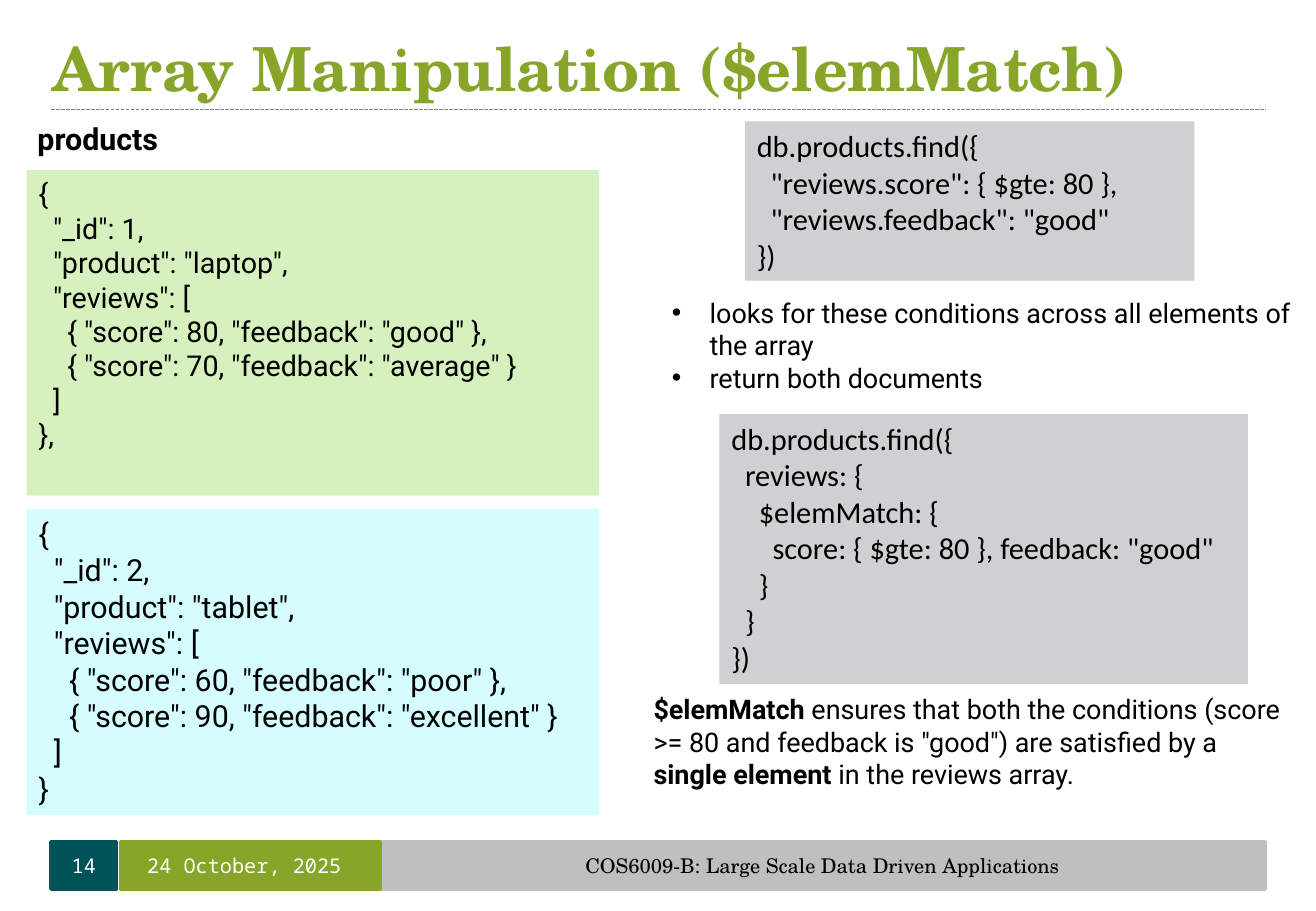
from dataclasses import dataclass

from lxml import etree
from pptx import Presentation
from pptx.dml.color import RGBColor
from pptx.enum import dml, shapes, text
from pptx.oxml import ns
from pptx.util import Inches, Pt

COLOURS = {
    "black": "000000", "white": "FFFFFF", "teal": "005359", "green": "87A529",
    "silver": "BFBFBF", "rule": "7F7F7F", "pale green": "D7F1BE",
    "pale cyan": "D5FCFF", "code grey": "CED0D2",
}
SERIF, MONO, SANS, CODE = "TeX Gyre Schola", "Noto Sans Mono", "Roboto", "Calibri"
Box = tuple[float, float, float, float]


@dataclass
class CodePanel:
    box: Box
    fill: str
    font: str
    size: int
    code: str


@dataclass
class FooterBand:
    left: float
    width: float
    fill: str
    label: str
    font: str
    colour: str
    right_inset: float = 0


LAPTOP = """{
  "_id": 1,
  "product": "laptop",
  "reviews": [
    { "score": 80, "feedback": "good" },
    { "score": 70, "feedback": "average" }
  ]
},"""
TABLET = """{
  "_id": 2,
  "product": "tablet",
  "reviews": [
    { "score": 60, "feedback": "poor" },
    { "score": 90, "feedback": "excellent" }
  ]
}"""
PLAIN_QUERY = """db.products.find({
  "reviews.score": { $gte: 80 },
  "reviews.feedback": "good"
})"""
ELEM_MATCH_QUERY = """db.products.find({
  reviews: {
    $elemMatch: {
      score: { $gte: 80 }, feedback: "good"
    }
  }
})"""

PANELS = [
    CodePanel((0.22, 1.4, 4.71, 2.68), "pale green", SANS, 17, LAPTOP),
    CodePanel((6.13, 1, 3.7, 1.31), "code grey", CODE, 18, PLAIN_QUERY),
    CodePanel((0.22, 4.19, 4.71, 2.52), "pale cyan", SANS, 18, TABLET),
    CodePanel((5.92, 3.41, 4.35, 2.22), "code grey", CODE, 18, ELEM_MATCH_QUERY),
]
FOOTER = [
    FooterBand(0.42, 0.54, "teal", "14", MONO, "white"),
    FooterBand(3.13, 7.28, "silver", "COS6009-B: Large Scale Data Driven Applications",
               SERIF, "black"),
    FooterBand(0.99, 2.14, "green", "24 October, 2025", MONO, "white", 0.1),
]
BULLETS = ["looks for these conditions across all elements of the array",
           "return both documents"]
EXPLANATION = [
    ("$elemMatch", True),
    (' ensures that both the conditions (score >= 80 and feedback is "good") are satisfied by a ',
     False),
    ("single element", True),
    (" in the reviews array.", False),
]


def rgb(name: str) -> RGBColor:
    return RGBColor.from_string(COLOURS[name])


def format_run(run, font: str, size: int, colour: str = "black", bold: bool = False) -> None:
    run.font.name, run.font.size, run.font.bold = font, Pt(size), bold
    run.font.color.rgb = rgb(colour)


def format_frame(frame, font: str, size: int, colour: str = "black", bold: bool = False,
                 align=text.PP_ALIGN.LEFT, anchor=text.MSO_ANCHOR.TOP) -> None:
    frame.word_wrap = True
    frame.auto_size = text.MSO_AUTO_SIZE.NONE
    frame.vertical_anchor = anchor
    for paragraph in frame.paragraphs:
        paragraph.alignment = align
        paragraph.space_before = Pt(0)
        for run in paragraph.runs:
            format_run(run, font, size, colour, bold)


def set_indent(paragraph, margin: float, first_line: float = 0) -> None:
    properties = paragraph._p.get_or_add_pPr()
    properties.set("marL", str(Inches(margin)))
    properties.set("indent", str(Inches(first_line)))


def place(shape, box: Box) -> None:
    shape.left, shape.top, shape.width, shape.height = map(Inches, box)


def set_insets(frame, right: float = 0) -> None:
    frame.margin_left = frame.margin_top = frame.margin_bottom = 0
    frame.margin_right = Inches(right)


def add_rectangle(slide, box: Box, fill: str, outlined: bool = False):
    shape = slide.shapes.add_shape(shapes.MSO_SHAPE.RECTANGLE, *map(Inches, box))
    shape.shadow.inherit = False
    shape.fill.solid()
    shape.fill.fore_color.rgb = rgb(fill)
    if outlined:
        shape.line.color.rgb = rgb(fill)
        shape.line.width = Pt(2)
    else:
        shape.line.fill.background()
    return shape


def add_code_panel(slide, panel: CodePanel) -> None:
    """Leading spaces in the code become paragraph indents."""
    frame = add_rectangle(slide, panel.box, panel.fill).text_frame
    lines = panel.code.splitlines()
    frame.text = "\n".join(line.lstrip() for line in lines)
    format_frame(frame, panel.font, panel.size)
    space_width = (0.25 if panel.font == SANS else 0.226) * panel.size / 72
    for paragraph, line in zip(frame.paragraphs, lines):
        set_indent(paragraph, (len(line) - len(line.lstrip())) * space_width)


def add_footer_band(slide, band: FooterBand) -> None:
    shape = add_rectangle(slide, (band.left, 6.93, band.width, 0.39), band.fill, True)
    shape.text_frame.text = band.label
    format_frame(shape.text_frame, band.font, 12, band.colour,
                 align=text.PP_ALIGN.CENTER, anchor=text.MSO_ANCHOR.MIDDLE)
    set_insets(shape.text_frame, band.right_inset)


def add_title_rule(slide) -> None:
    rule = slide.shapes.add_connector(
        shapes.MSO_CONNECTOR.STRAIGHT, *map(Inches, (0.42, 0.9, 10.42, 0.9)))
    rule.line.color.rgb = rgb("rule")
    rule.line.width = Pt(0.75)
    rule.line.dash_style = dml.MSO_LINE.SQUARE_DOT
    etree.SubElement(rule._element.spPr, ns.qn("a:effectLst"))


def fill_title(slide) -> None:
    title = slide.shapes.title
    place(title, (0.43, 0.13, 9.27, 0.84))
    title.text_frame.text = "Array Manipulation ($elemMatch)"
    format_frame(title.text_frame, SERIF, 36, "green", True, anchor=text.MSO_ANCHOR.MIDDLE)
    set_insets(title.text_frame)


def fill_bullets(slide) -> None:
    body = slide.placeholders[1]
    place(body, (5.43, 2.39, 5.42, 0.91))
    body.text_frame.text = "\n".join(BULLETS)
    format_frame(body.text_frame, SANS, 16)
    for paragraph in body.text_frame.paragraphs:
        set_indent(paragraph, 0.31, -0.31)
        etree.SubElement(paragraph._p.get_or_add_pPr(), ns.qn("a:buChar"), char="•")


def add_texts(slide) -> None:
    heading = slide.shapes.add_textbox(*map(Inches, (0.21, 0.94, 1.58, 0.4)))
    heading.text_frame.text = "products"
    format_frame(heading.text_frame, SANS, 18, bold=True)

    explanation = slide.shapes.add_textbox(*map(Inches, (5.28, 5.65, 5.4, 0.91)))
    format_frame(explanation.text_frame, SANS, 16, anchor=text.MSO_ANCHOR.MIDDLE)
    for words, bold in EXPLANATION:
        run = explanation.text_frame.paragraphs[0].add_run()
        run.text = words
        format_run(run, SANS, 16, bold=bold)


def main() -> None:
    presentation = Presentation()
    presentation.slide_width, presentation.slide_height = Inches(10.83), Inches(7.5)
    slide = presentation.slides.add_slide(presentation.slide_layouts[1])
    fill_title(slide)
    fill_bullets(slide)
    add_title_rule(slide)
    for band in FOOTER:
        add_footer_band(slide, band)
    for panel in PANELS:
        add_code_panel(slide, panel)
    add_texts(slide)
    presentation.save("out.pptx")


if __name__ == "__main__":
    main()
